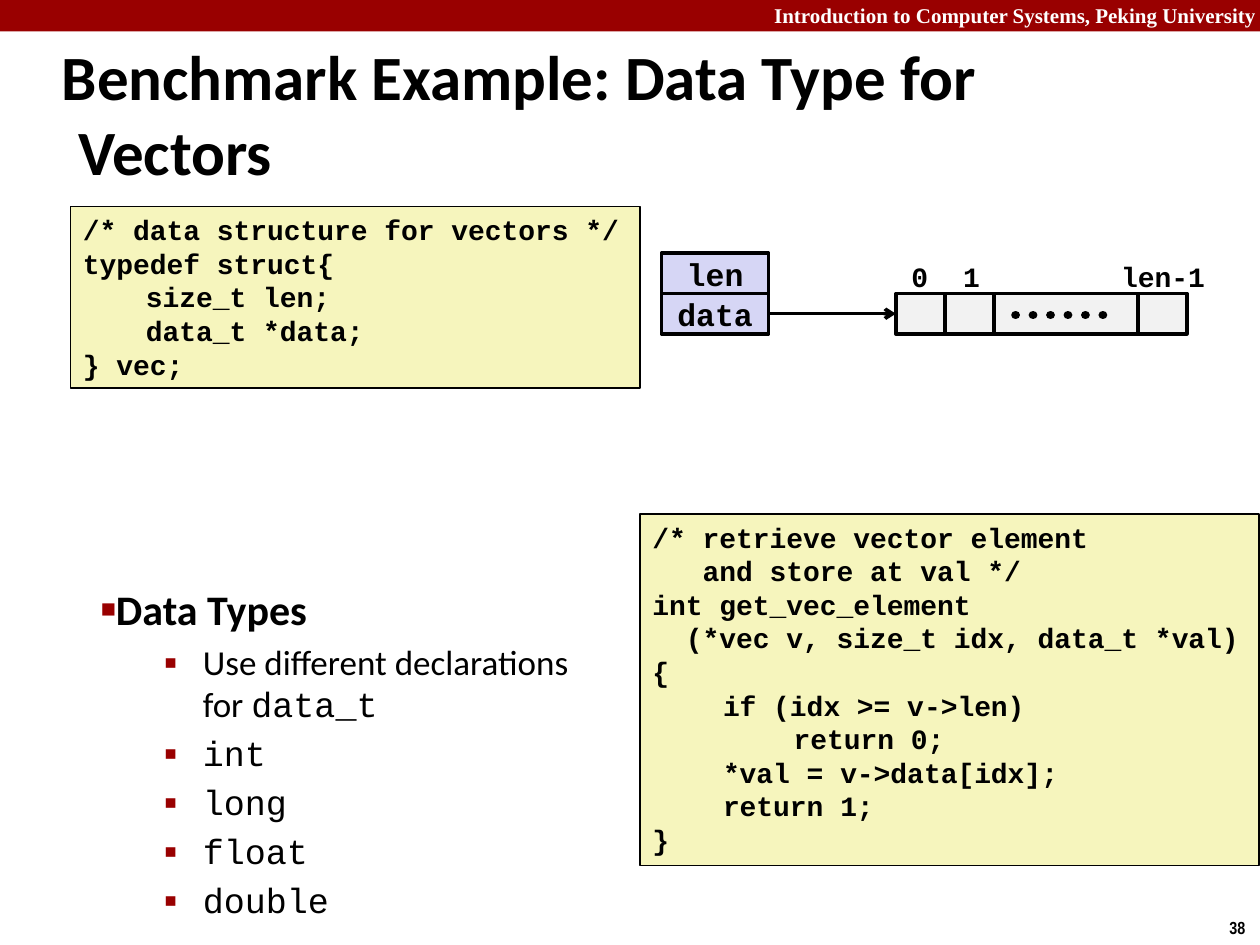
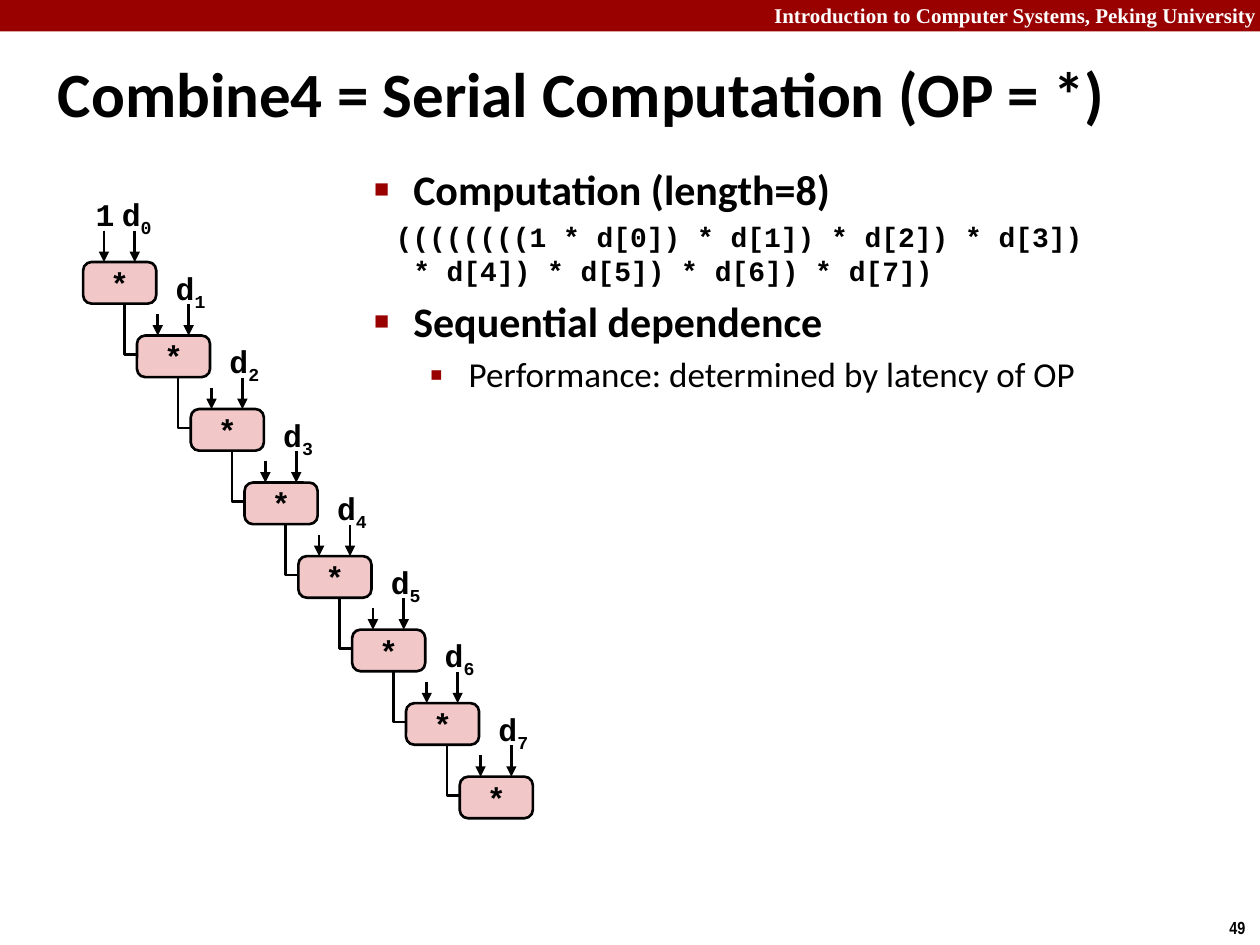
from copy import deepcopy
from itertools import accumulate
from lxml.etree import SubElement
from pptx import Presentation
from pptx.dml.color import RGBColor
from pptx.enum.shapes import MSO_CONNECTOR, MSO_SHAPE
from pptx.enum.text import MSO_ANCHOR, MSO_AUTO_SIZE, PP_ALIGN
from pptx.oxml.ns import qn
from pptx.util import Inches, Pt

COLORS = {
    "black": "000000", "white": "FFFFFF", "red": "990000", "code": "F6F5BD",
    "field": "D6D6F5", "cell": "F2F2F2", "op": "F1C7C7",
}
RGB = {name: RGBColor.from_string(value) for name, value in COLORS.items()}
SANS, MONO = "Calibri", "Courier New"

prs = Presentation()
prs.slide_width, prs.slide_height = Inches(10), Inches(7.5)
COL, ROW = prs.slide_width / 100, prs.slide_height / 75


def write(p, text, size=18, font=MONO, color="black", bold=True, align=None,
          base=None, leading=None):
    if align:
        p.alignment = align
    if leading:
        p.line_spacing = Pt(leading)
    for i, part in enumerate(text.split("\n")):
        if i:
            p.add_line_break()
            p._p[-1].append(deepcopy(r._r.rPr))
        r = p.add_run()
        r.text = part
        r.font.size, r.font.name, r.font.bold = Pt(size), font, bold
        r.font.color.rgb = RGB[color]
        if base:
            r._r.rPr.set("baseline", str(base))


def box(s, x, y, w, h, fill=None, width=None, kind=MSO_SHAPE.RECTANGLE,
        anchor=MSO_ANCHOR.TOP):
    at = [round(v) for v in (x * COL, y * ROW, w * COL, h * ROW)]
    if fill:
        sp = s.shapes.add_shape(kind, *at)
        sp.shadow.inherit = False
        sp.fill.solid()
        sp.fill.fore_color.rgb = RGB[fill]
        if width:
            sp.line.color.rgb, sp.line.width = RGB["black"], Pt(width)
        else:
            sp.line.fill.background()
    else:
        sp = s.shapes.add_textbox(*at)
    sp.text_frame.word_wrap = False
    sp.text_frame.vertical_anchor = anchor
    return sp


SQUARE, SMALL = ("■", 60), ("▪", 110)
pages = [
    ("38", "Benchmark Example: Data Type for Vectors",
     (3.9, 4.8, 83, 8.3), (7, 45.8, 42.3, 24.3),
     [(0, 0, 0, SQUARE, [("Data Types", 24, SANS, True)]),
      (1, 0.81, -0.31, SMALL, [("Use different declarations for ", 20, SANS, False),
                               ("data_t", 20, MONO, False)])]
     + [(1, 0.81, -0.31, SMALL, [(name, 20, MONO, False)])
        for name in ("int", "long", "float", "double")]),
    ("49", "Combine4 = Serial Computation (OP = *)",
     (3.6, 3.1, 94.8, 8.5), (28.7, 12.5, 69.6, 18.3),
     [(0, 0.31, -0.31, SQUARE, [("Computation (length=8)", 24, SANS, True)]),
      (1, 0.31, -0.14, None, [("((((((((1 * d[0]) * d[1]) * d[2]) * d[3])\n"
                               "* d[4]) * d[5]) * d[6]) * d[7])", 16, MONO, True)]),
      (0, 0.31, -0.31, SQUARE, [("Sequential dependence", 24, SANS, True)]),
      (1, 0.75, -0.31, SMALL, [("Performance: determined by latency of OP", 20, SANS, False)])]),
]

for number, title, title_at, body_at, items in pages:
    s = prs.slides.add_slide(prs.slide_layouts[1])
    box(s, 0, 0, 100, 2.5, "red")
    header = box(s, 60, -0.3, 40.7, 3)
    header.text_frame.word_wrap = True
    write(header.text_frame.paragraphs[0],
          "Introduction to Computer Systems, Peking University",
          size=12, font="Times New Roman", color="white", align=PP_ALIGN.RIGHT)
    write(box(s, 96.6, 72.3, 3.4, 2.7).text_frame.paragraphs[0], number,
          size=10, font="Arial Narrow")

    body = s.placeholders[1]
    for sp, (x, y, w, h) in ((s.shapes.title, title_at), (body, body_at)):
        sp.left, sp.top = round(x * COL), round(y * ROW)
        sp.width, sp.height = round(w * COL), round(h * ROW)
        sp.text_frame.auto_size = MSO_AUTO_SIZE.NONE
        sp.text_frame.word_wrap = True
    s.shapes.title.text_frame.vertical_anchor = MSO_ANCHOR.MIDDLE
    p = s.shapes.title.text_frame.paragraphs[0]
    pPr = p._p.get_or_add_pPr()
    pPr.set("marL", str(Inches(0.13)))
    pPr.set("indent", str(Inches(-0.13)))
    write(p, title, size=36, font=SANS, align=PP_ALIGN.LEFT)

    tf = body.text_frame
    for i, (level, margin, indent, bullet, runs) in enumerate(items):
        p = tf.add_paragraph() if i else tf.paragraphs[0]
        p.level = level
        pPr = p._p.get_or_add_pPr()
        pPr.set("marL", str(Inches(margin)))
        pPr.set("indent", str(Inches(indent)))
        if bullet:
            char, percent = bullet
            color = SubElement(pPr, qn("a:buClr"))
            SubElement(color, qn("a:srgbClr"), val=COLORS["red"])
            SubElement(pPr, qn("a:buSzPct"), val=str(percent * 1000))
            SubElement(pPr, qn("a:buFont"), typeface="Arial")
            SubElement(pPr, qn("a:buChar"), char=char)
        else:
            SubElement(pPr, qn("a:buNone"))
        p.space_before = Pt(runs[0][1] * 0.2 if i else 0)
        for text, size, font, bold in runs:
            write(p, text, size=size, font=font, bold=bold,
                  leading=size * 1.2 if runs[0][2] == MONO else None)

vectors, serial = prs.slides

struct_code = """/* data structure for vectors */
typedef struct{
\tsize_t len;
\tdata_t *data;
} vec;"""
get_code = """/* retrieve vector element
   and store at val */
int get_vec_element
  (*vec v, size_t idx, data_t *val)
{
\tif (idx >= v->len)
\t\treturn 0;
\t*val = v->data[idx];
\treturn 1;
}"""
for at, tab, code in (((5.6, 16.4, 45.2, 14.4), 0.5, struct_code),
                      ((50.8, 40.8, 49.1, 27.9), 0.56, get_code)):
    tf = box(vectors, *at, "code", 1).text_frame
    for i, text in enumerate(code.split("\n")):
        p = tf.add_paragraph() if i else tf.paragraphs[0]
        tabs = SubElement(p._p.get_or_add_pPr(), qn("a:tabLst"))
        for stop in (1, 2):
            SubElement(tabs, qn("a:tab"), pos=str(Inches(tab * stop)), algn="l")
        write(p, text, size=16, align=PP_ALIGN.LEFT, leading=19.2)

for i, name in enumerate(("len", "data")):
    field = box(vectors, 52.5, 20.1 + 3.2 * i, 8.5, 3.2, "field", 2,
                anchor=MSO_ANCHOR.MIDDLE)
    write(field.text_frame.paragraphs[0], name, align=PP_ALIGN.CENTER)

widths = (3.9, 3.9, 11.4, 3.9)
cells = [box(vectors, x, 23.3, w, 3.2, "cell", 2)
         for x, w in zip(accumulate(widths, initial=71.1), widths)]
for x, w, name in ((71.3, 3.4, "0"), (75.4, 3.4, "1"), (87.9, 8.8, "len-1")):
    write(box(vectors, x, 20.1, w, 3.7).text_frame.paragraphs[0], name,
          size=16, align=PP_ALIGN.CENTER)

ARROW = ("a:tailEnd", {"type": "triangle"})
lines = [
    (vectors, 61, 24.9, 71.1, 24.9, 2, ("a:tailEnd", {"type": "arrow"}), (field, cells[0])),
    (vectors, 80.6, 25, 88.6, 25, 5, ("a:prstDash", {"val": "sysDot"}), None),
]

STEP_X, STEP_Y = 4.27, 5.835
labels = [(7.1, 15, 2.5, "1", "")]
for i in range(8):
    x, y = 6.6 + STEP_X * i, 20.8 + STEP_Y * i
    op = box(serial, x, y, 5.8, 3.3, "op", 1.5, MSO_SHAPE.ROUNDED_RECTANGLE,
             MSO_ANCHOR.MIDDLE)
    op.adjustments[0] = 0.2
    write(op.text_frame.paragraphs[0], "*", align=PP_ALIGN.CENTER)
    labels.append((x + 2.5, y - 5.8, 3.5, "d", str(i)))
    for dx, rise in ((1.65, 1.7 if i else 2.5), (4.1, 2.5)):
        lines.append((serial, x + dx, y - rise, x + dx, y, 1.5, ARROW, None))
    if i:
        points = [(round(a * COL), round(b * ROW)) for a, b in
                  ((x - 1, y - 2.5), (x - 1, y + 1.5), (x, y + 1.5))]
        builder = serial.shapes.build_freeform(*points[0], scale=1.0)
        builder.add_line_segments(points[1:], close=False)
        elbow = builder.convert_to_shape()
        elbow.shadow.inherit = False
        elbow.fill.background()
        elbow.line.color.rgb, elbow.line.width = RGB["black"], Pt(1.5)

for x, y, w, name, index in labels:
    tf = box(serial, x, y, w, 4).text_frame
    tf.word_wrap = True
    tf.margin_left = tf.margin_right = Inches(0.05)
    write(tf.paragraphs[0], name, align=PP_ALIGN.CENTER)
    if index:
        write(tf.paragraphs[0], index, base=-25000)

for s, x1, y1, x2, y2, width, (tag, attributes), ends in lines:
    line = s.shapes.add_connector(MSO_CONNECTOR.STRAIGHT, round(x1 * COL),
                                  round(y1 * ROW), round(x2 * COL), round(y2 * ROW))
    line.line.color.rgb, line.line.width = RGB["black"], Pt(width)
    ln = line.line._get_or_add_ln()
    if tag == "a:prstDash":
        ln.set("cap", "rnd")
    SubElement(ln, qn(tag), attributes)
    SubElement(line._element.spPr, qn("a:effectLst"))
    if ends:
        line.begin_connect(ends[0], 3)
        line.end_connect(ends[1], 1)

prs.save("out.pptx")
